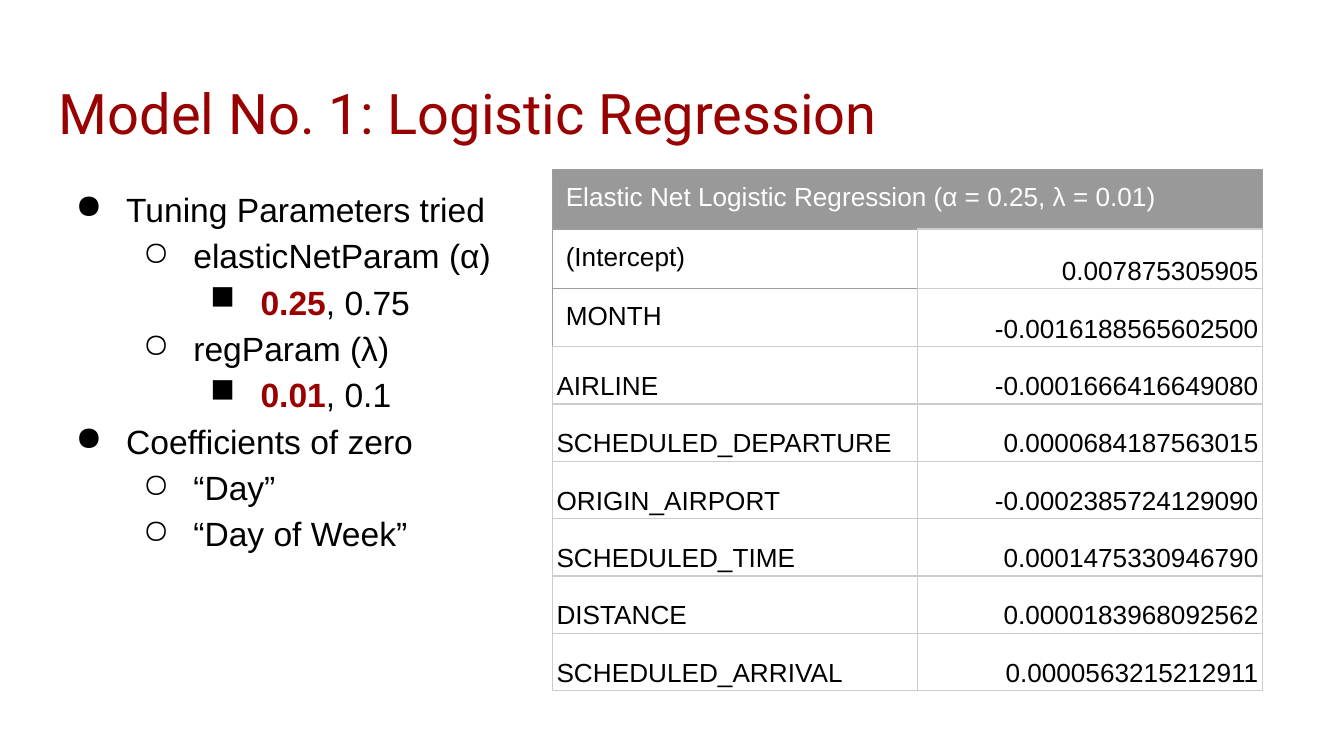
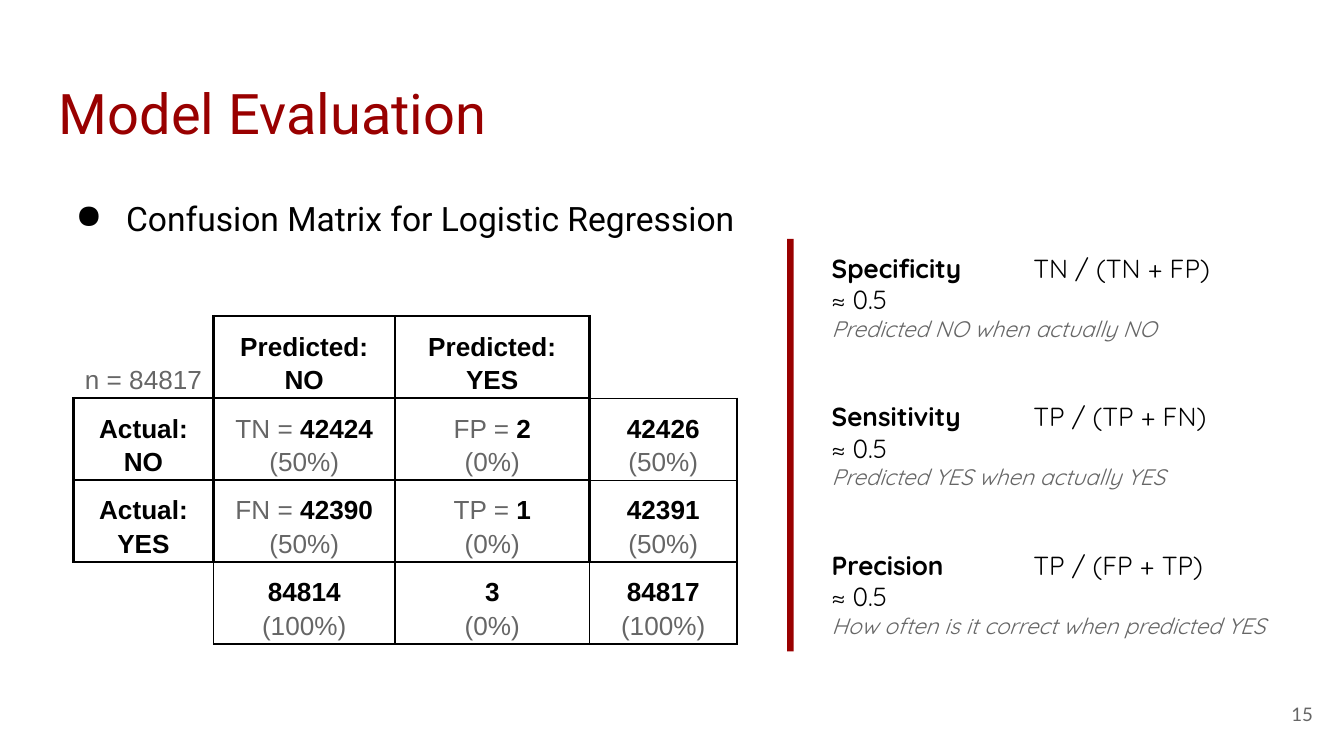
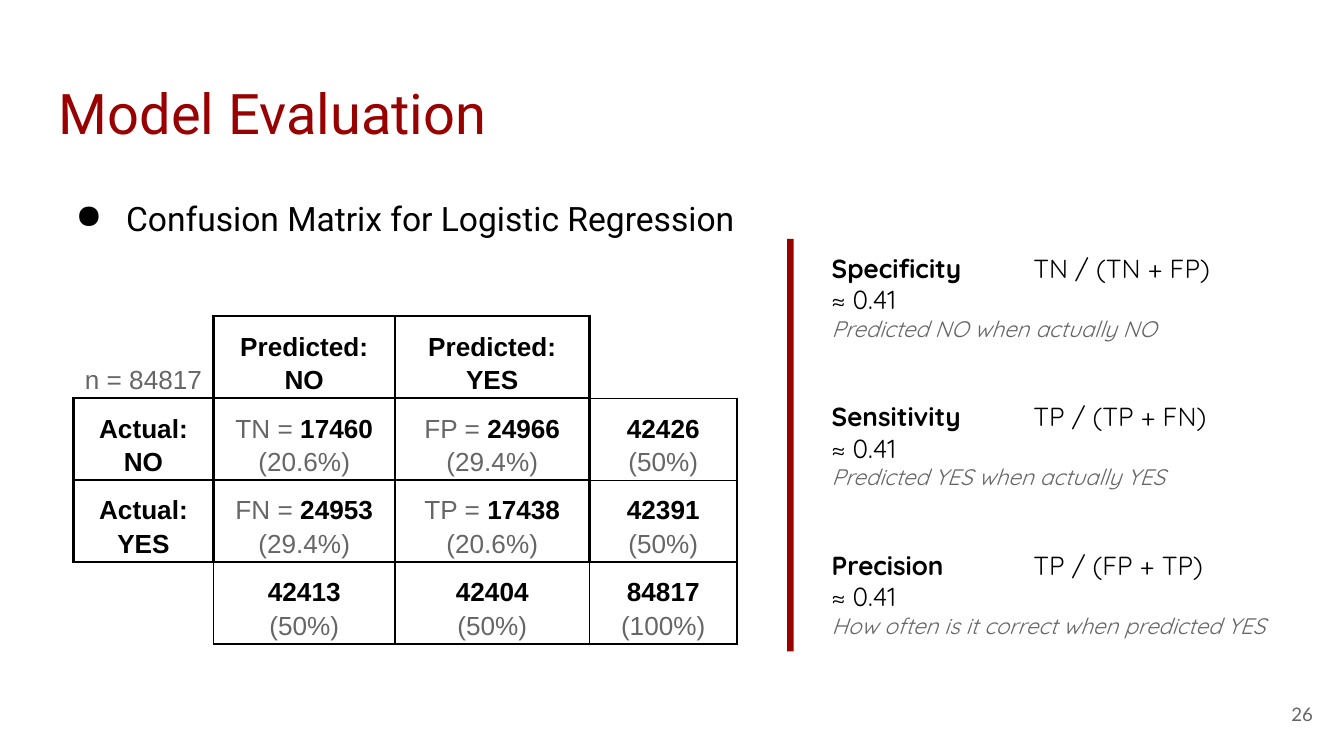
from lxml import etree
from pptx import Presentation
from pptx.dml.color import RGBColor
from pptx.enum.shapes import MSO_SHAPE
from pptx.enum.text import MSO_ANCHOR, PP_ALIGN
from pptx.oxml.ns import qn
from pptx.util import Pt

RED = RGBColor(0x99, 0x00, 0x00)
BLACK = RGBColor(0x00, 0x00, 0x00)
WHITE = RGBColor(0xFF, 0xFF, 0xFF)
DARK_GREY = RGBColor(0x66, 0x66, 0x66)
HEADER_GREY = RGBColor(0x99, 0x99, 0x99)
EDGE_GREY = RGBColor(0x9E, 0x9E, 0x9E)
GRID_GREY = RGBColor(0xCC, 0xCC, 0xCC)

TOP, MIDDLE, BOTTOM = MSO_ANCHOR.TOP, MSO_ANCHOR.MIDDLE, MSO_ANCHOR.BOTTOM
LEFT, CENTER, RIGHT = PP_ALIGN.LEFT, PP_ALIGN.CENTER, PP_ALIGN.RIGHT
RECTANGLE = MSO_SHAPE.RECTANGLE

WIDE_INSETS = (7.2, 7.2)
TIGHT_INSETS = (2.25, 1.5)
MARGIN_X = 24.5
BODY_Y, BODY_H = 90.75, 269.25
BULLETS = "●○■"
NO_TABLE_STYLE = "{2D5ABB26-0587-4C30-8999-92F81FD0307C}"

TITLE = {"name": "Roboto", "size": Pt(30), "color": RED}
HEADING = {"name": "Roboto", "size": Pt(18), "color": BLACK}
BODY = {"name": "Arial", "size": Pt(18), "color": BLACK}
BEST = {**BODY, "color": RED, "bold": True}
NUMBER = {"name": "Lato", "size": Pt(10), "color": DARK_GREY}
CELL = {"name": "Arial", "size": Pt(14), "color": BLACK}
CELL_HEADER = {**CELL, "color": WHITE}
CELL_BOLD = {**CELL, "bold": True}
CELL_MUTED = {**CELL, "color": DARK_GREY}
METRIC = {"name": "Quicksand", "size": Pt(14), "color": BLACK}
METRIC_NAME = {**METRIC, "bold": True}
METRIC_NOTE = {**METRIC, "size": Pt(12), "color": DARK_GREY, "italic": True}

TUNING = [
    (0, [("Tuning Parameters tried", BODY)]),
    (1, [("elasticNetParam (α)", BODY)]),
    (2, [("0.25", BEST), (", 0.75", BODY)]),
    (1, [("regParam (λ)", BODY)]),
    (2, [("0.01", BEST), (", 0.1", BODY)]),
    (0, [("Coefficients of zero", BODY)]),
    (1, [("“Day”", BODY)]),
    (1, [("“Day of Week”", BODY)]),
]
COEFFICIENTS = [
    ("(Intercept)", "0.007875305905"),
    ("MONTH", "-0.0016188565602500"),
    ("AIRLINE", "-0.0001666416649080"),
    ("SCHEDULED_DEPARTURE", "0.0000684187563015"),
    ("ORIGIN_AIRPORT", "-0.0002385724129090"),
    ("SCHEDULED_TIME", "0.0001475330946790"),
    ("DISTANCE", "0.0000183968092562"),
    ("SCHEDULED_ARRIVAL", "0.0000563215212911"),
]
METRICS = [
    ("Specificity", "TN / (TN + FP)", "Predicted NO when actually NO"),
    ("Sensitivity", "TP / (TP + FN)", "Predicted YES when actually YES"),
    ("Precision", "TP / (FP + TP)", "How often is it correct when predicted YES"),
]
# Border weight of each cell of the confusion matrix, totals being thin
WEIGHTS = [
    (0, 1.5, 1.5, 0),
    (1.5, 1.5, 1.5, 0.75),
    (1.5, 1.5, 1.5, 0.75),
    (0, 0.75, 0.75, 0.75),
]
NEIGHBOURS = {"L": (0, -1), "R": (0, 1), "T": (-1, 0), "B": (1, 0)}


def set_frame(target, insets, anchor):
    """Set insets and anchor of a text frame or a table cell."""
    x, y = insets
    target.margin_left = target.margin_right = Pt(x)
    target.margin_top = target.margin_bottom = Pt(y)
    target.vertical_anchor = anchor


def write(tf, paragraphs, align=LEFT, spacing=1.0):
    """Write paragraphs, each a list of (text, format) runs."""
    for i, runs in enumerate(paragraphs):
        p = tf.add_paragraph() if i else tf.paragraphs[0]
        p.alignment, p.line_spacing = align, spacing
        for text, fmt in runs:
            r = p.add_run()
            r.text = text
            for name, value in fmt.items():
                if name == "color":
                    r.font.color.rgb = value
                else:
                    setattr(r.font, name, value)


def add_text(slide, box, paragraphs, anchor=TOP, align=LEFT, spacing=1.0):
    tf = slide.shapes.add_textbox(*map(Pt, box)).text_frame
    tf.word_wrap = True
    set_frame(tf, WIDE_INSETS, anchor)
    write(tf, paragraphs, align, spacing)
    return tf


def add_bullets(slide, width, items, spacing):
    """Add the body list from (level, runs) items."""
    tf = add_text(slide, (MARGIN_X, BODY_Y, width, BODY_H),
                  [runs for _, runs in items], spacing=spacing)
    for p, (level, _) in zip(tf.paragraphs, items):
        p.level = level
        pPr = p._p.get_or_add_pPr()
        pPr.set("marL", str(Pt(36 * (level + 1))))
        pPr.set("indent", str(-Pt(27)))
        color = etree.SubElement(pPr, qn("a:buClr"))
        etree.SubElement(color, qn("a:srgbClr"), val=str(BLACK))
        etree.SubElement(pPr, qn("a:buChar"), char=BULLETS[level])


def add_slide(prs, title, number=None):
    slide = prs.slides.add_slide(prs.slide_layouts[6])
    add_text(slide, (MARGIN_X, 35, 671, 45), [[(title, TITLE)]])
    if number:
        add_text(slide, (667.25, 367, 43.25, 31), [[(str(number), NUMBER)]],
                 MIDDLE, RIGHT)
    return slide


def add_grid(slide, x, y, widths, heights):
    """Add a table without style."""
    frame = slide.shapes.add_table(len(heights), len(widths), Pt(x), Pt(y),
                                   Pt(sum(widths)), Pt(sum(heights)))
    table = frame.table
    table.first_row = table.horz_banding = False
    table._tbl.tblPr.find(qn("a:tableStyleId")).text = NO_TABLE_STYLE
    for column, width in zip(table.columns, widths):
        column.width = Pt(width)
    for row, height in zip(table.rows, heights):
        row.height = Pt(height)
    return table


def style_cell(cell, borders, fill=None):
    """Draw borders, given as side: (colour, weight), then the fill."""
    tcPr = cell._tc.get_or_add_tcPr()
    for side, (color, weight) in borders.items():
        ln = etree.SubElement(tcPr, qn(f"a:ln{side}"), w=str(Pt(weight)))
        if weight:
            solid = etree.SubElement(ln, qn("a:solidFill"))
            etree.SubElement(solid, qn("a:srgbClr"), val=str(color))
        else:
            etree.SubElement(ln, qn("a:noFill"))
    if fill is None:
        cell.fill.background()
    else:
        cell.fill.solid()
        cell.fill.fore_color.rgb = fill


def grey_borders(dark_sides=""):
    return {side: (EDGE_GREY if side in dark_sides else GRID_GREY, 0.75)
            for side in NEIGHBOURS}


def add_coefficient_table(slide):
    table = add_grid(slide, 295.9, BODY_Y, (195.6, 185), [31.9, 31.9] + [30.7] * 7)
    header = table.cell(0, 0)
    header.merge(table.cell(0, 1))
    for c in range(2):
        style_cell(table.cell(0, c), grey_borders("LRTB"), HEADER_GREY)
    set_frame(header, WIDE_INSETS, TOP)
    title = "Elastic Net Logistic Regression (α = 0.25, λ = 0.01)"
    write(header.text_frame, [[(title, CELL_HEADER)]])
    dark_sides = {1: "LTB", 2: "LT"}
    for r, (name, value) in enumerate(COEFFICIENTS, 1):
        label, number = table.cell(r, 0), table.cell(r, 1)
        style_cell(label, grey_borders(dark_sides.get(r, "")))
        style_cell(number, grey_borders())
        if r in dark_sides:
            set_frame(label, WIDE_INSETS, TOP)
        else:
            set_frame(label, TIGHT_INSETS, BOTTOM)
        set_frame(number, TIGHT_INSETS, BOTTOM)
        write(label.text_frame, [[(name, CELL)]],
              spacing=1.0 if r in dark_sides else 1.15)
        write(number.text_frame, [[(value, CELL)]], RIGHT, 1.15)


def matrix_borders(row, col):
    """An edge is as heavy as the heavier of the two cells it parts."""
    borders = {}
    for side, (dr, dc) in NEIGHBOURS.items():
        r, c = row + dr, col + dc
        beyond = WEIGHTS[r][c] if 0 <= r < 4 and 0 <= c < 4 else 0
        borders[side] = (BLACK, max(WEIGHTS[row][col], beyond))
    return borders


def add_confusion_matrix(slide, tn, fp, fn, tp):
    total = tn + fp + fn + tp

    def count(value, label=""):
        prefix = [(f"{label} = ", CELL_MUTED)] if label else []
        share = f"({round(100 * value / total, 1):g}%)"
        return [prefix + [(str(value), CELL_BOLD)], [(share, CELL_MUTED)]]

    def actual(answer):
        return [[("Actual:", CELL_BOLD)], [(answer, CELL_BOLD)]]

    rows = [
        [[[(f"n = {total}", CELL_MUTED)]], [[("Predicted: NO", CELL_BOLD)]],
         [[("Predicted: YES", CELL_BOLD)]], []],
        [actual("NO"), count(tn, "TN"), count(fp, "FP"), count(tn + fp)],
        [actual("YES"), count(fn, "FN"), count(tp, "TP"), count(fn + tp)],
        [[], count(tn + fn), count(fp + tp), count(total)],
    ]
    table = add_grid(slide, 39.4, 169.4, (75, 97.25, 104.25, 79), [43.92] * 4)
    for r, row in enumerate(rows):
        for c, paragraphs in enumerate(row):
            cell = table.cell(r, c)
            inner = r in (1, 2) and c in (1, 2)
            style_cell(cell, matrix_borders(r, c), WHITE if inner else None)
            set_frame(cell, TIGHT_INSETS, BOTTOM)
            write(cell.text_frame, paragraphs, CENTER, 1.15)


def add_metrics(slide, value):
    bar = slide.shapes.add_shape(RECTANGLE, Pt(421.75), Pt(128), Pt(3.5), Pt(221))
    bar.shadow.inherit = False
    bar.fill.solid()
    bar.fill.fore_color.rgb = RED
    bar.line.fill.background()
    paragraphs = []
    for name, formula, note in METRICS:
        paragraphs += [[(name, METRIC_NAME), (f"\t\t{formula}", METRIC)],
                       [(f"≈ {value}", METRIC)], [(note, METRIC_NOTE)]]
    tf = add_text(slide, (438.5, 128, 257, 232), paragraphs)
    for p in tf.paragraphs[3::3]:
        p.space_before = Pt(31.5)


def add_evaluation_slide(prs, number, counts, value):
    slide = add_slide(prs, "Model Evaluation", number)
    heading = "Confusion Matrix for Logistic Regression"
    add_bullets(slide, 397.5, [(0, [(heading, HEADING)])], 1.38)
    add_confusion_matrix(slide, *counts)
    add_metrics(slide, value)


def main():
    prs = Presentation()
    prs.slide_width, prs.slide_height = Pt(720), Pt(405)
    slide = add_slide(prs, "Model No. 1: Logistic Regression")
    add_bullets(slide, 250, TUNING, 1.15)
    add_coefficient_table(slide)
    add_evaluation_slide(prs, 15, (42424, 2, 42390, 1), 0.5)
    add_evaluation_slide(prs, 26, (17460, 24966, 24953, 17438), 0.41)
    prs.save("out.pptx")


if __name__ == "__main__":
    main()
